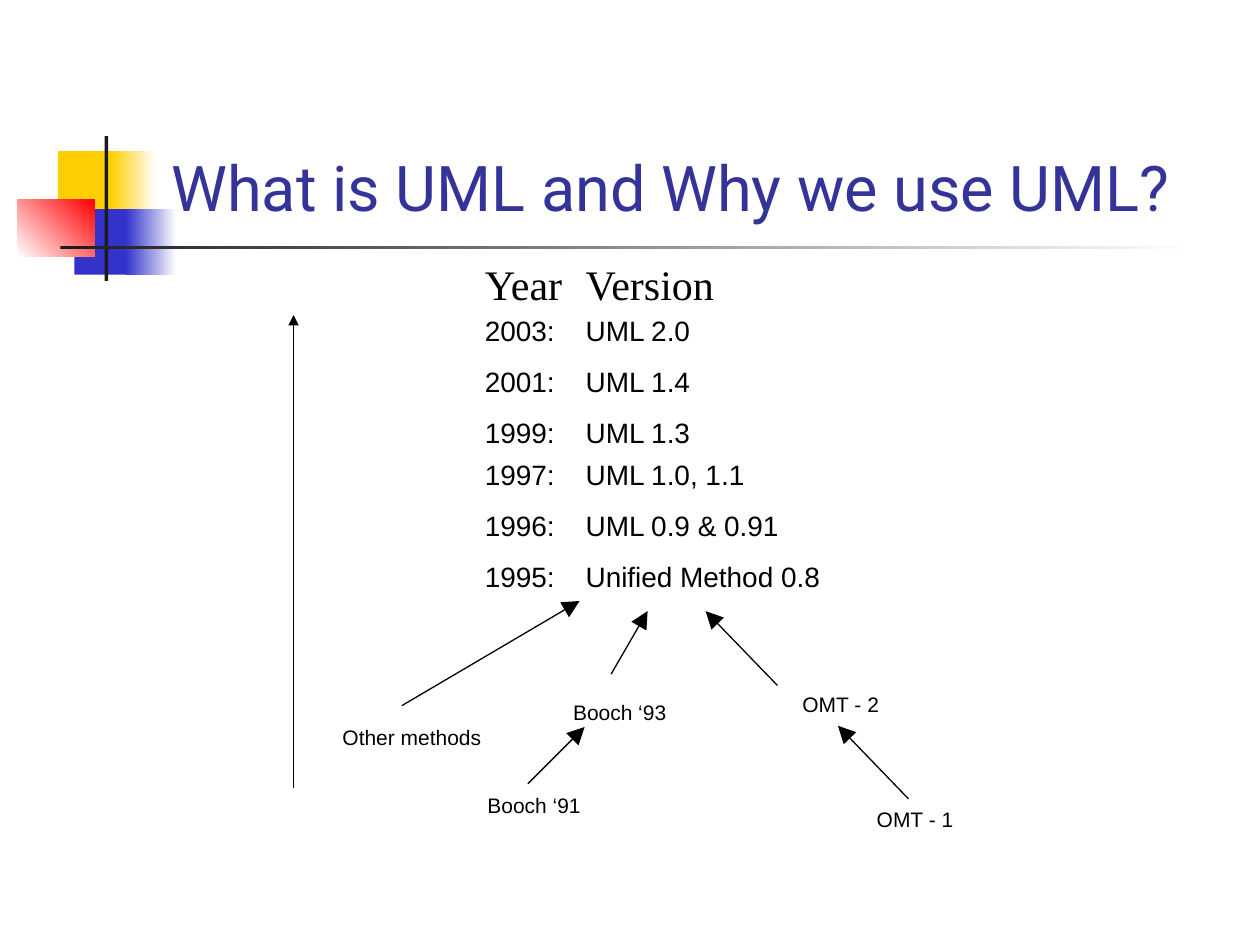
from pptx import Presentation
from pptx.dml.color import RGBColor
from pptx.enum.shapes import MSO_CONNECTOR, MSO_SHAPE
from pptx.enum.text import MSO_ANCHOR, PP_ALIGN
from pptx.oxml.ns import qn
from pptx.util import Inches, Pt
from lxml.etree import SubElement

BLACK = RGBColor(0x00, 0x00, 0x00)
WHITE = RGBColor(0xFF, 0xFF, 0xFF)
CHARCOAL = RGBColor(0x1C, 0x1C, 0x1C)
YELLOW = RGBColor(0xFF, 0xCF, 0x01)
BLUE = RGBColor(0x33, 0x33, 0xCC)
RED = RGBColor(0xFF, 0x00, 0x00)
TITLE_BLUE = RGBColor(0x33, 0x33, 0x99)

VERSION_TAB = Inches(0.8)

# left, top, width, height, start colour, end colour (None for solid), angle
DECORATIONS = [
    (0.46, 1.2, 0.48, 0.52, YELLOW, None, 0),
    (0.88, 1.2, 0.36, 0.52, YELLOW, WHITE, 0),
    (0.59, 1.66, 0.46, 0.52, BLUE, None, 0),
    (1, 1.66, 0.4, 0.52, BLUE, WHITE, 0),
    (0.14, 1.58, 0.61, 0.46, WHITE, RED, 45),
    (0.83, 1.08, 0.03, 1.15, CHARCOAL, None, 0),
    (0.48, 1.95, 9, 0.03, CHARCOAL, WHITE, 0),
]

RECENT_VERSIONS = ["2003:\tUML 2.0", "2001:\tUML 1.4", "1999:\tUML 1.3"]
EARLY_VERSIONS = ["1997:\tUML 1.0, 1.1", "1996:\tUML 0.9 & 0.91",
                  "1995:\tUnified Method 0.8"]

# text, left, top, width
METHODS = [
    ("Other methods", 2.62, 5.7, 1.3),
    ("Booch ‘91", 3.77, 6.24, 1.25),
    ("Booch ‘93", 4.45, 5.5, 0.94),
    ("OMT - 2", 6.27, 5.44, 0.81),
    ("OMT - 1", 6.86, 6.35, 0.81),
]

# start x, start y, end x, end y
METHOD_ARROWS = [
    (3.19, 5.6, 4.6, 4.77),
    (4.19, 6.22, 4.64, 5.77),
    (4.85, 5.35, 5.14, 4.85),
    (7.21, 6.34, 6.65, 5.76),
    (6.17, 5.44, 5.6, 4.85),
]


def add_decoration(slide, left, top, width, height, start, end, angle):
    shape = slide.shapes.add_shape(MSO_SHAPE.RECTANGLE, Inches(left), Inches(top),
                                   Inches(width), Inches(height))
    shape.shadow.inherit = False
    shape.line.fill.background()
    if end is None:
        shape.fill.solid()
        shape.fill.fore_color.rgb = start
        return
    shape.fill.gradient()
    shape.fill.gradient_angle = angle
    for stop, color in zip(shape.fill.gradient_stops, (start, end)):
        stop.color.rgb = color


def format_runs(paragraph, font_name, size, color):
    for run in paragraph.runs:
        run.font.name = font_name
        run.font.size = Pt(size)
        run.font.color.rgb = color


def add_tab_stop(paragraph, position):
    properties = paragraph._p.get_or_add_pPr()
    tab_list = SubElement(properties, qn("a:tabLst"))
    SubElement(tab_list, qn("a:tab"), pos=str(position), algn="l")


def add_text(slide, lines, left, top, width, height, size, font_name="Arial",
             wrap=True):
    box = slide.shapes.add_textbox(Inches(left), Inches(top),
                                   Inches(width), Inches(height))
    text_frame = box.text_frame
    text_frame.word_wrap = wrap
    text_frame.text = "\n".join(lines)
    for index, paragraph in enumerate(text_frame.paragraphs):
        if "\t" in paragraph.text:
            add_tab_stop(paragraph, VERSION_TAB)
        if index:
            paragraph.space_before = Pt(10)
        format_runs(paragraph, font_name, size, BLACK)


def add_arrow(slide, start_x, start_y, end_x, end_y, head_size):
    arrow = slide.shapes.add_connector(MSO_CONNECTOR.STRAIGHT, Inches(start_x),
                                       Inches(start_y), Inches(end_x), Inches(end_y))
    arrow.line.color.rgb = BLACK
    arrow.line.width = Pt(0.75)
    SubElement(arrow.line._get_or_add_ln(), qn("a:tailEnd"),
               type="triangle", w=head_size, len=head_size)
    SubElement(arrow._element.spPr, qn("a:effectLst"))


def set_title(slide, text):
    title = slide.shapes.title
    title.left, title.top = Inches(1.26), Inches(0.23)
    title.width, title.height = Inches(8.52), Inches(1.6)
    text_frame = title.text_frame
    text_frame.text = text
    text_frame.word_wrap = True
    text_frame.vertical_anchor = MSO_ANCHOR.BOTTOM
    paragraph = text_frame.paragraphs[0]
    paragraph.alignment = PP_ALIGN.LEFT
    format_runs(paragraph, "Roboto", 36, TITLE_BLUE)
    # Bring the title in front of the decorations
    slide.shapes._spTree.append(title._element)


def main():
    presentation = Presentation()
    presentation.slide_width = Inches(10)
    presentation.slide_height = Inches(7.5)
    slide = presentation.slides.add_slide(presentation.slide_layouts[5])

    # Coloured blocks, rules and title
    for decoration in DECORATIONS:
        add_decoration(slide, *decoration)
    set_title(slide, "What is UML and Why we use UML?")

    # Version history
    add_text(slide, ["Year\tVersion"], 3.75, 2, 2.5, 0.5, 24, "Times New Roman")
    add_text(slide, RECENT_VERSIONS, 3.75, 2.44, 2.67, 1.18, 16)
    add_text(slide, EARLY_VERSIONS, 3.75, 3.58, 4.6, 1.18, 16)

    # Methods that led to the unified method
    for text, left, top, width in METHODS:
        add_text(slide, [text], left, top, width, 0.3, 12, wrap=False)
    for method_arrow in METHOD_ARROWS:
        add_arrow(slide, *method_arrow, "lg")

    # Time axis
    add_arrow(slide, 2.33, 6.25, 2.33, 2.5, "med")

    presentation.save("out.pptx")


if __name__ == "__main__":
    main()
